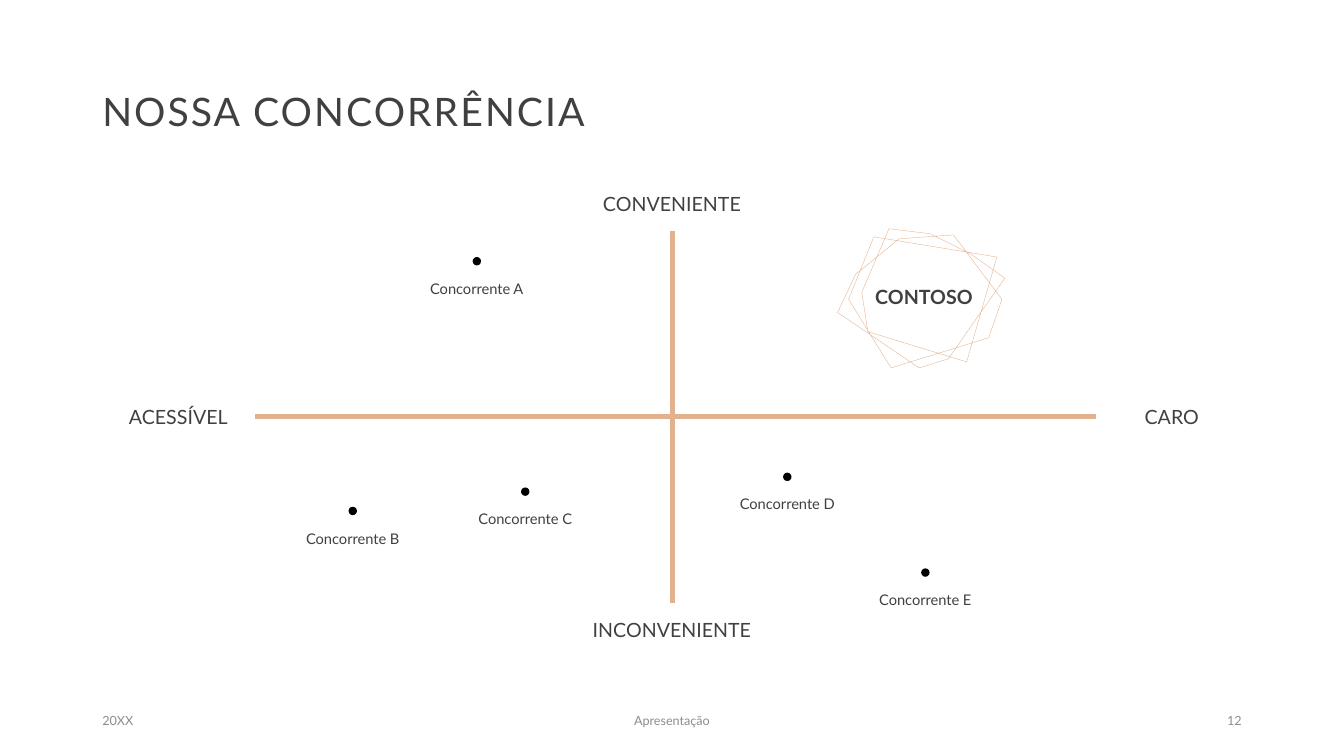
import lxml.etree
import pptx
import pptx.dml.color
import pptx.enum.shapes
import pptx.enum.text
import pptx.oxml.ns
import pptx.util
from dataclasses import dataclass

Pt = pptx.util.Pt
ALIGN = pptx.enum.text.PP_ALIGN


@dataclass(frozen=True)
class Theme:
    font: str = "Lato"
    ink: str = "404040"
    muted: str = "8C8C8C"
    accent: str = "E2B18D"
    dot: str = "000000"
    title_size: float = 28
    axis_size: float = 14
    label_size: float = 10.5
    footer_size: float = 9


def rgb(value):
    return pptx.dml.color.RGBColor.from_string(value)


class MapSlide:
    def __init__(self, slide, theme):
        self.shapes = slide.shapes
        self.theme = theme

    def text(self, words, left, top, width, height, size, color=None,
             bold=False, tracking=0, **paragraph_format):
        frame = self.shapes.add_textbox(
            Pt(left), Pt(top), Pt(width), Pt(height)).text_frame
        frame.word_wrap = True
        frame.vertical_anchor = pptx.enum.text.MSO_ANCHOR.MIDDLE
        paragraph = frame.paragraphs[0]
        run = paragraph.add_run()
        run.text = words
        run.font.color.rgb = rgb(color or self.theme.ink)
        font_format = {"name": self.theme.font, "size": Pt(size), "bold": bold}
        for target, values in ((run.font, font_format),
                               (paragraph, paragraph_format)):
            for name, value in values.items():
                setattr(target, name, value)
        if tracking:
            run.font._element.set("spc", str(int(tracking * 100)))

    def label(self, words, center_x, center_y, width, height, size, bold=False):
        self.text(words, center_x - width / 2, center_y - height / 2, width,
                  height, size, bold=bold, alignment=ALIGN.CENTER,
                  space_before=Pt(10))

    def axis(self, x1, y1, x2, y2):
        line = self.shapes.add_connector(
            pptx.enum.shapes.MSO_CONNECTOR.STRAIGHT,
            Pt(x1), Pt(y1), Pt(x2), Pt(y2))
        line.line.color.rgb = rgb(self.theme.accent)
        line.line.width = Pt(3.5)
        lxml.etree.SubElement(line._element.spPr,
                              pptx.oxml.ns.qn("a:effectLst"))

    def competitor(self, words, x, y, diameter=6):
        dot = self.shapes.add_shape(
            pptx.enum.shapes.MSO_SHAPE.OVAL, Pt(x - diameter / 2),
            Pt(y - diameter / 2), Pt(diameter), Pt(diameter))
        dot.shadow.inherit = False
        dot.fill.solid()
        dot.fill.fore_color.rgb = rgb(self.theme.dot)
        dot.line.fill.background()
        # The label box starts at the centre of its dot
        self.label(words, x, y + 19.5, 93, 39, self.theme.label_size)

    def outline(self, points):
        start, *rest = [(Pt(x), Pt(y)) for x, y in points]
        builder = self.shapes.build_freeform(*start)
        builder.add_line_segments(rest, close=True)
        frame = builder.convert_to_shape()
        frame.shadow.inherit = False
        frame.fill.background()
        frame.line.color.rgb = rgb(self.theme.accent)
        frame.line.width = Pt(0.25)


CENTER_X, CENTER_Y = 480.2, 297.4

AXIS_LABELS = [
    ("CONVENIENTE", 480, 145.4),
    ("INCONVENIENTE", 480, 450),
    ("ACESSÍVEL", 127.4, CENTER_Y),
    ("CARO", 837, CENTER_Y),
]

COMPETITORS = [
    ("Concorrente A", 340.6, 186.6),
    ("Concorrente B", 252, 365),
    ("Concorrente C", 375.2, 351.2),
    ("Concorrente D", 562.4, 340.6),
    ("Concorrente E", 661, 409),
]

POLYGON_FRAME = [
    (642.2, 170.6), (614.9, 193), (611.3, 195.8), (598.3, 223.2),
    (656.6, 262.8), (677.5, 256.3), (697, 228.2), (717.8, 198.7),
    (693.4, 181.4), (664.6, 167), (635, 163.4), (615.6, 208.8),
    (619.9, 236.9), (690.5, 258.5), (712.1, 183.6), (624.2, 169.2),
    (606.2, 213.8), (636.5, 262.8), (706.3, 241.2), (715.7, 213.8),
    (681.1, 167.8),
]

FOOTERS = [
    ("20XX", 66, 216, ALIGN.LEFT),
    ("Apresentação", 318, 324, ALIGN.CENTER),
    ("12", 678, 216, ALIGN.RIGHT),
]


def main():
    deck = pptx.Presentation()
    deck.slide_width, deck.slide_height = Pt(960), Pt(540)
    theme = Theme()
    page = MapSlide(deck.slides.add_slide(deck.slide_layouts[6]), theme)

    # Axes
    page.axis(182.2, CENTER_Y, 782.6, CENTER_Y)
    page.axis(CENTER_X, 430.6, CENTER_X, 164.9)

    # Title
    page.text("NOSSA CONCORRÊNCIA", 66, 28.8, 828, 104.4, theme.title_size,
              tracking=1.5, line_spacing=0.9)

    # Axis ends
    for words, x, y in AXIS_LABELS:
        page.label(words, x, y, 135, 39, theme.axis_size)

    # Competitors
    for words, x, y in COMPETITORS:
        page.competitor(words, x, y)

    # Own company
    page.label("CONTOSO", 660, 212, 135, 83, theme.axis_size, bold=True)
    page.outline(POLYGON_FRAME)

    # Footer
    for words, left, width, alignment in FOOTERS:
        page.text(words, left, 500.4, width, 28.8, theme.footer_size,
                  color=theme.muted, alignment=alignment)

    deck.save("out.pptx")


if __name__ == "__main__":
    main()
